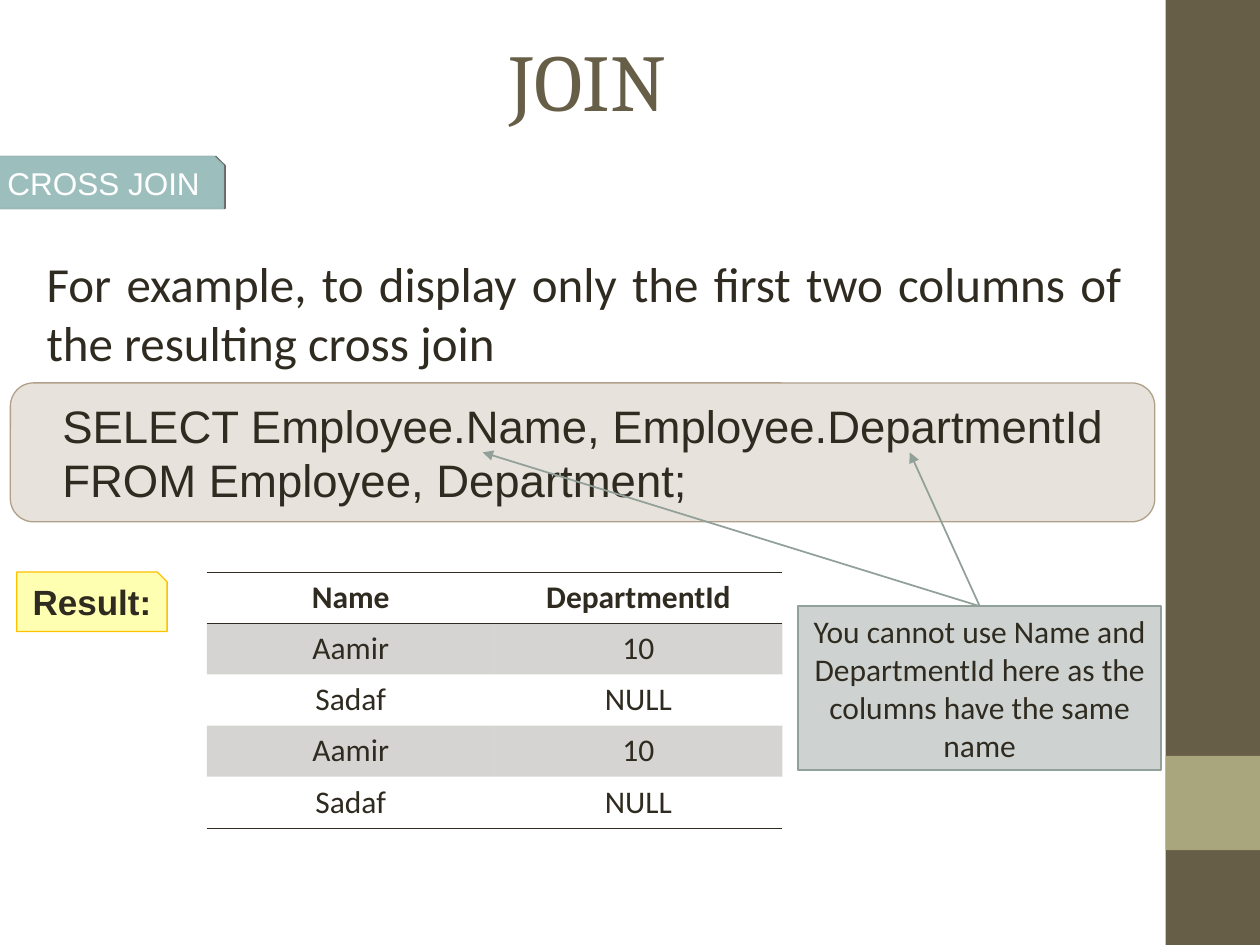
from dataclasses import dataclass

from lxml import etree
from pptx import Presentation
from pptx.dml.color import RGBColor
from pptx.enum.shapes import MSO_CONNECTOR, MSO_SHAPE
from pptx.enum.text import MSO_ANCHOR, PP_ALIGN
from pptx.oxml.ns import qn
from pptx.util import Cm, Pt

CENTER, LEFT, JUSTIFY = PP_ALIGN.CENTER, PP_ALIGN.LEFT, PP_ALIGN.JUSTIFY
TOP, MIDDLE = MSO_ANCHOR.TOP, MSO_ANCHOR.MIDDLE
RECT, ROUNDED = MSO_SHAPE.RECTANGLE, MSO_SHAPE.ROUNDED_RECTANGLE
STRAIGHT = MSO_CONNECTOR.STRAIGHT
PLAIN_TABLE = "{2D5ABB26-0587-4C30-8999-92F81FD0307C}"

COLORS = {
    "brown": "675E47", "olive": "A9A57C", "ink": "2F2B20", "white": "FFFFFF",
    "teal": "9CBEBD", "teal_line": "98BBB9", "tan": "B1A089",
    "yellow": "FFFF00", "gold": "FFC000",
    "note": "CED3D1", "gray": "91A099", "black": "000000",
}


@dataclass(frozen=True)
class TextStyle:
    size: float
    font: str = "Calibri"
    color: str = "ink"
    align: PP_ALIGN = CENTER
    anchor: MSO_ANCHOR = MIDDLE
    bold: bool = False


@dataclass(frozen=True)
class Box:
    left: float
    top: float
    width: float
    height: float

    def lengths(self) -> tuple:
        return Cm(self.left), Cm(self.top), Cm(self.width), Cm(self.height)


@dataclass(frozen=True)
class Tag:
    box: Box
    snip: float
    text: str
    fill: str
    line: str
    line_width: float
    style: TextStyle
    opacity: int = 100


def rgb(name: str) -> RGBColor:
    return RGBColor.from_string(COLORS[name])


def style_paragraph(paragraph, style: TextStyle) -> None:
    paragraph.alignment = style.align
    for run in paragraph.runs:
        run.font.size = Pt(style.size)
        run.font.name = style.font
        run.font.bold = style.bold
        run.font.color.rgb = rgb(style.color)


def write(shape, text: str, style: TextStyle) -> None:
    frame = shape.text_frame
    frame.text = text
    frame.word_wrap = True
    frame.vertical_anchor = style.anchor
    style_paragraph(frame.paragraphs[0], style)


def set_opacity(properties, percent: int) -> None:
    color = properties.find(f"{qn('a:solidFill')}/{qn('a:srgbClr')}")
    etree.SubElement(color, qn("a:alpha"), val=str(percent * 1000))


def paint(shape, fill: str, line: str = "", width: float = 1, opacity: int = 100) -> None:
    shape.shadow.inherit = False
    shape.fill.solid()
    shape.fill.fore_color.rgb = rgb(fill)
    if opacity < 100:
        set_opacity(shape._element.spPr, opacity)
    if line:
        shape.line.color.rgb = rgb(line)
        shape.line.width = Pt(width)
    else:
        shape.line.fill.background()


def add_box(slide, kind: MSO_SHAPE, box: Box, fill: str, line: str = "",
            width: float = 1, opacity: int = 100):
    shape = slide.shapes.add_shape(kind, *box.lengths())
    paint(shape, fill, line, width, opacity)
    return shape


def add_tag(slide, tag: Tag):
    left, top, width, height = tag.box.lengths()
    right, bottom, snip = left + width, top + height, Cm(tag.snip)
    builder = slide.shapes.build_freeform(left, top)
    builder.add_line_segments(
        [(right - snip, top), (right, top + snip), (right, bottom), (left, bottom)])
    shape = builder.convert_to_shape()
    paint(shape, tag.fill, tag.line, tag.line_width, tag.opacity)
    write(shape, tag.text, tag.style)
    return shape


def add_hard_shadow(shape, color: str, percent: int, distance: float) -> None:
    effects = shape._element.spPr.find(qn("a:effectLst"))
    shadow = etree.SubElement(effects, qn("a:outerShdw"), blurRad="0",
                              dist=str(Pt(distance)), dir="0", rotWithShape="0")
    tint = etree.SubElement(shadow, qn("a:srgbClr"), val=COLORS[color])
    etree.SubElement(tint, qn("a:alpha"), val=str(percent * 1000))


def add_arrow(slide, source, tip_x: float, tip_y: float) -> None:
    arrow = slide.shapes.add_connector(STRAIGHT, 0, 0, Cm(tip_x), Cm(tip_y))
    arrow.begin_connect(source, 0)
    arrow.line.color.rgb = rgb("gray")
    arrow.line.width = Pt(1)
    etree.SubElement(arrow.line._get_or_add_ln(), qn("a:tailEnd"), type="triangle")
    etree.SubElement(arrow._element.spPr, qn("a:effectLst"))


def add_cell_rule(cell, side: str) -> None:
    rule = etree.Element(qn(f"a:{side}"), w=str(Pt(0.45)))
    fill = etree.SubElement(rule, qn("a:solidFill"))
    etree.SubElement(fill, qn("a:srgbClr"), val=COLORS["ink"])
    cell._tc.get_or_add_tcPr().insert(0, rule)


def add_result_table(slide, box: Box, rows: list) -> None:
    frame = slide.shapes.add_table(len(rows), len(rows[0]), *box.lengths())
    table = frame.table
    table.horz_banding = False
    table._tbl.tblPr.find(qn("a:tableStyleId")).text = PLAIN_TABLE
    for r, row in enumerate(rows):
        table.rows[r].height = Cm(box.height / len(rows))
        for c, value in enumerate(row):
            cell = table.cell(r, c)
            cell.text = value
            style_paragraph(cell.text_frame.paragraphs[0], TextStyle(18, bold=r == 0))
            if r % 2:
                cell.fill.solid()
                cell.fill.fore_color.rgb = rgb("ink")
                set_opacity(cell._tc.tcPr, 20)
            else:
                cell.fill.background()
            if r in (0, len(rows) - 1):
                add_cell_rule(cell, "lnB")
            if r == 0:
                add_cell_rule(cell, "lnT")


def main() -> None:
    prs = Presentation()
    prs.slide_width, prs.slide_height = Cm(25.4), Cm(19.05)
    slide = prs.slides.add_slide(prs.slide_layouts[5])

    # Side band
    add_box(slide, RECT, Box(23.5, 0, 1.9, 19.05), "brown")
    add_box(slide, RECT, Box(23.5, 15.24, 1.9, 1.9), "olive")

    # Title and section tag
    title = slide.shapes.title
    title.left, title.top, title.width, title.height = Box(1.27, 0, 21.16, 3.18).lengths()
    write(title, "JOIN", TextStyle(46, "Cambria", "brown"))
    section = add_tag(slide, Tag(Box(-0.1, 3.16, 4.6, 1.04), 0.18, "CROSS JOIN", "teal",
                                 "teal_line", 1, TextStyle(18, "Arial", "white", JUSTIFY)))
    add_hard_shadow(section, "black", 60, 1)

    # Explanation
    explanation = slide.shapes.add_textbox(*Box(0.69, 4.98, 22.17, 3).lengths())
    write(explanation, "For example, to display only the first two columns of "
          "the resulting cross join", TextStyle(28, align=JUSTIFY, anchor=TOP))

    # Query
    query = add_box(slide, ROUNDED, Box(0.21, 7.72, 23.07, 2.8), "tan", "tan", 0.75, 30)
    write(query, "SELECT Employee.Name, Employee.DepartmentId "
          "FROM Employee, Department;", TextStyle(26, "Arial", align=LEFT))
    query.text_frame.margin_left = Cm(0.91)

    # Result
    add_tag(slide, Tag(Box(0.34, 11.53, 3.03, 1.2), 0.2, "Result:", "yellow", "gold",
                       0.75, TextStyle(20, "Arial", bold=True), 30))
    add_result_table(slide, Box(4.17, 11.53, 11.6, 5.16), [
        ("Name", "DepartmentId"),
        *[("Aamir", "10"), ("Sadaf", "NULL")] * 2,
    ])

    # Note with arrows to the qualified columns
    note = add_box(slide, RECT, Box(16.09, 12.22, 7.32, 3.3), "note", "gray")
    write(note, "You cannot use Name and DepartmentId here as the columns "
          "have the same name", TextStyle(18, anchor=TOP))
    for tip_x in (18.34, 9.73):
        add_arrow(slide, note, tip_x, 9.12)

    prs.save("out.pptx")


if __name__ == "__main__":
    main()
